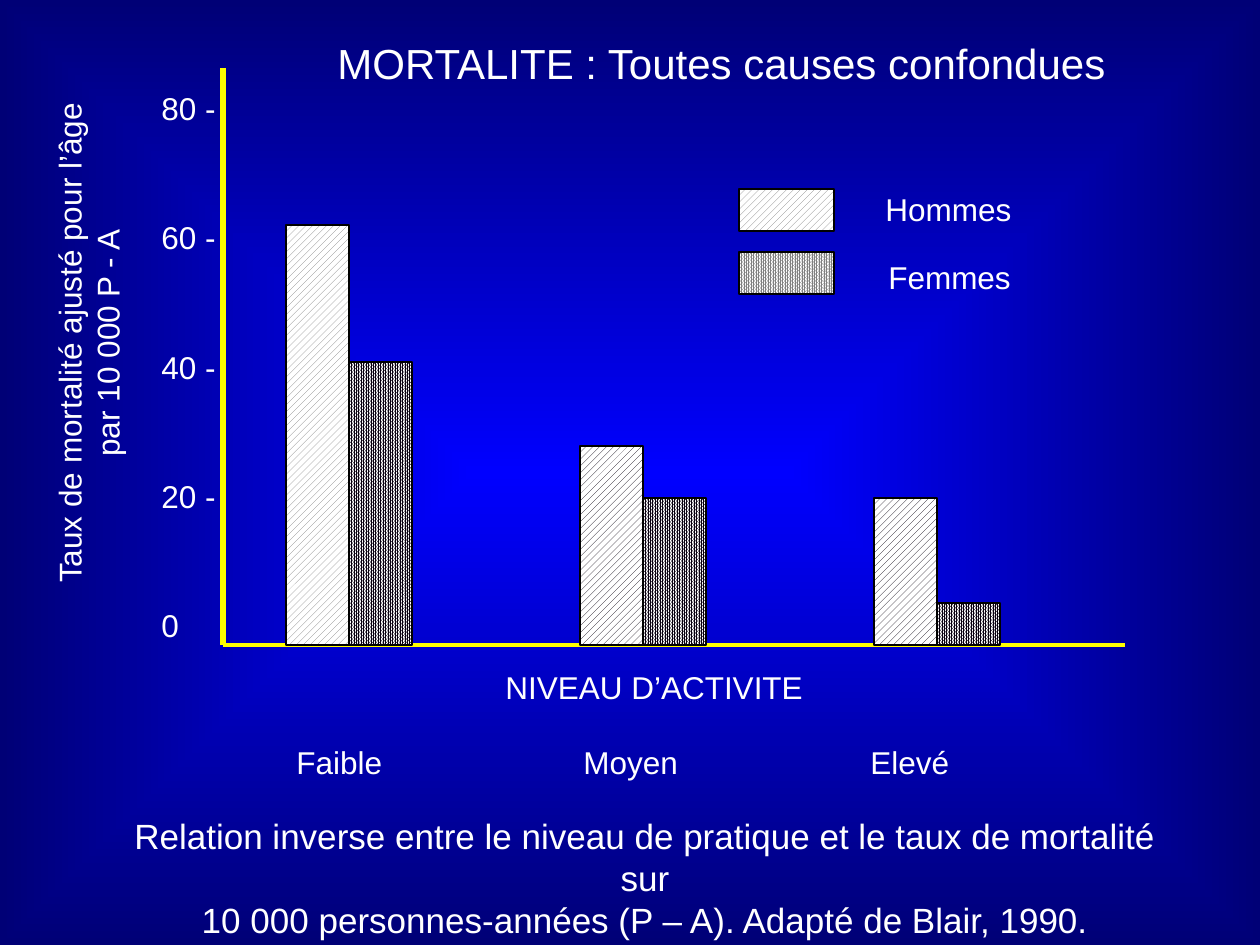
from lxml.etree import SubElement, fromstring
from pptx import Presentation
from pptx.dml.color import RGBColor
from pptx.enum.dml import MSO_PATTERN
from pptx.enum.shapes import MSO_CONNECTOR, MSO_SHAPE
from pptx.enum.text import PP_ALIGN
from pptx.oxml.ns import nsdecls, qn
from pptx.util import Pt

HUES = {"text": "FFFFFF", "axis": "FFFF00", "edge": "000000", "dark": "090010",
        "gray": "808080", "white": "FFFFFF", "mid": "0000FF", "rim": "000076"}
TICKS = ["80 -", "60 -", "40 -", "20 -", "0"]
MEN = MSO_PATTERN.WIDE_UPWARD_DIAGONAL
WOMEN = MSO_PATTERN.PERCENT_90
BARS = [
    [(420, MEN, "gray"), (283, WOMEN, "dark")],
    [(199, MEN, "dark"), (147, WOMEN, "dark")],
    [(147, MEN, "dark"), (42, WOMEN, "dark")],
]
KEYS = [("Hommes", MEN, 873, 184), ("Femmes", WOMEN, 876, 252)]
TITLE = "MORTALITE : Toutes causes confondues"
RATE = ["Taux de mortalité ajusté pour l’âge", "par 10 000 P - A"]
LEVEL = "NIVEAU D’ACTIVITE"
GROUPS = ["Faible", "Moyen", "Elevé"]
NOTE = ["Relation inverse entre le niveau de pratique et le taux de mortalité sur",
        "10 000 personnes-années (P – A). Adapté de Blair, 1990."]
LEFT, TOP, RIGHT, BASE = 223, 68, 1125, 645
FIRST, STEP, WIDE = 286, 294, 63


def px(n):
    return round(n * 914400 / 126)


def hue(name):
    return RGBColor.from_string(HUES[name])


def paint(slide):
    fill = slide.background.fill
    fill.gradient()
    grad = slide.background._cSld.find(".//" + qn("a:gradFill"))
    new = fromstring(
        f'<a:gradFill {nsdecls("a")} rotWithShape="0"><a:gsLst>'
        f'<a:gs pos="0"><a:srgbClr val="{HUES["mid"]}"/></a:gs>'
        f'<a:gs pos="100000"><a:srgbClr val="{HUES["rim"]}"/></a:gs></a:gsLst>'
        '<a:path path="shape"><a:fillToRect l="50000" t="50000" r="50000" b="50000"/>'
        '</a:path></a:gradFill>')
    grad.getparent().replace(grad, new)


def axis(slide, x, y, x2, y2, width):
    line = slide.shapes.add_connector(MSO_CONNECTOR.STRAIGHT, *map(px, (x, y, x2, y2)))
    line.line.color.rgb = hue("axis")
    line.line.width = Pt(width)
    SubElement(line._element.spPr, qn("a:effectLst"))


def block(slide, x, y, w, h, kind, ink):
    rect = slide.shapes.add_shape(MSO_SHAPE.RECTANGLE, *map(px, (x, y, w, h)))
    rect.shadow.inherit = False
    rect.fill.patterned()
    rect.fill.pattern = kind
    rect.fill.fore_color.rgb = hue(ink)
    rect.fill.back_color.rgb = hue("white")
    rect.line.color.rgb = hue("edge")
    rect.line.width = Pt(1)


def label(slide, x, y, w, h, lines, size=18, align=PP_ALIGN.LEFT):
    box = slide.shapes.add_textbox(*map(px, (x, y, w, h)))
    frame = box.text_frame
    frame.word_wrap = True
    for i, line in enumerate(lines):
        para = frame.add_paragraph() if i else frame.paragraphs[0]
        para.alignment = align
        run = para.add_run()
        run.text = line
        run.font.size = Pt(size)
        run.font.name = "Arial"
        run.font.color.rgb = hue("text")
    return box


def main():
    deck = Presentation()
    deck.slide_width, deck.slide_height = px(1260), px(945)
    slide = deck.slides.add_slide(deck.slide_layouts[6])
    paint(slide)
    axis(slide, LEFT, TOP, LEFT, BASE, 3)
    axis(slide, LEFT, BASE, RIGHT, BASE, 2.25)

    scale = label(slide, 149, 89, 90, 559, TICKS)
    for i, para in enumerate(scale.text_frame.paragraphs):
        para.line_spacing = 0.85
        if i:
            para.space_before = Pt(55.4)

    for i, pair in enumerate(BARS):
        for j, (high, kind, ink) in enumerate(pair):
            block(slide, FIRST + i * STEP + j * WIDE, BASE - high, WIDE, high, kind, ink)

    label(slide, 325, 31, 820, 63, [TITLE], 24)
    rate = label(slide, -166, 299, 508, 88, RATE, align=PP_ALIGN.CENTER)
    rate.rotation = 270

    for i, (name, kind, x, y) in enumerate(KEYS):
        block(slide, 739, 189 + i * 63, 95, 42, kind, "gray")
        label(slide, x, y, 164, 50, [name])

    foot = label(slide, 231, 662, 924, 126, [LEVEL, "\t" + "\t".join(GROUPS)])
    head, names = foot.text_frame.paragraphs
    head._p.get_or_add_pPr().set("marL", str(px(262)))
    names.space_before = Pt(21)
    tabs = SubElement(names._p.get_or_add_pPr(), qn("a:tabLst"))
    for i in range(len(GROUPS)):
        SubElement(tabs, qn("a:tab"), pos=str(px(53 + i * 287)), algn="l")

    label(slide, 94, 808, 1102, 97, NOTE, 20, PP_ALIGN.CENTER)
    deck.save("out.pptx")


if __name__ == "__main__":
    main()
